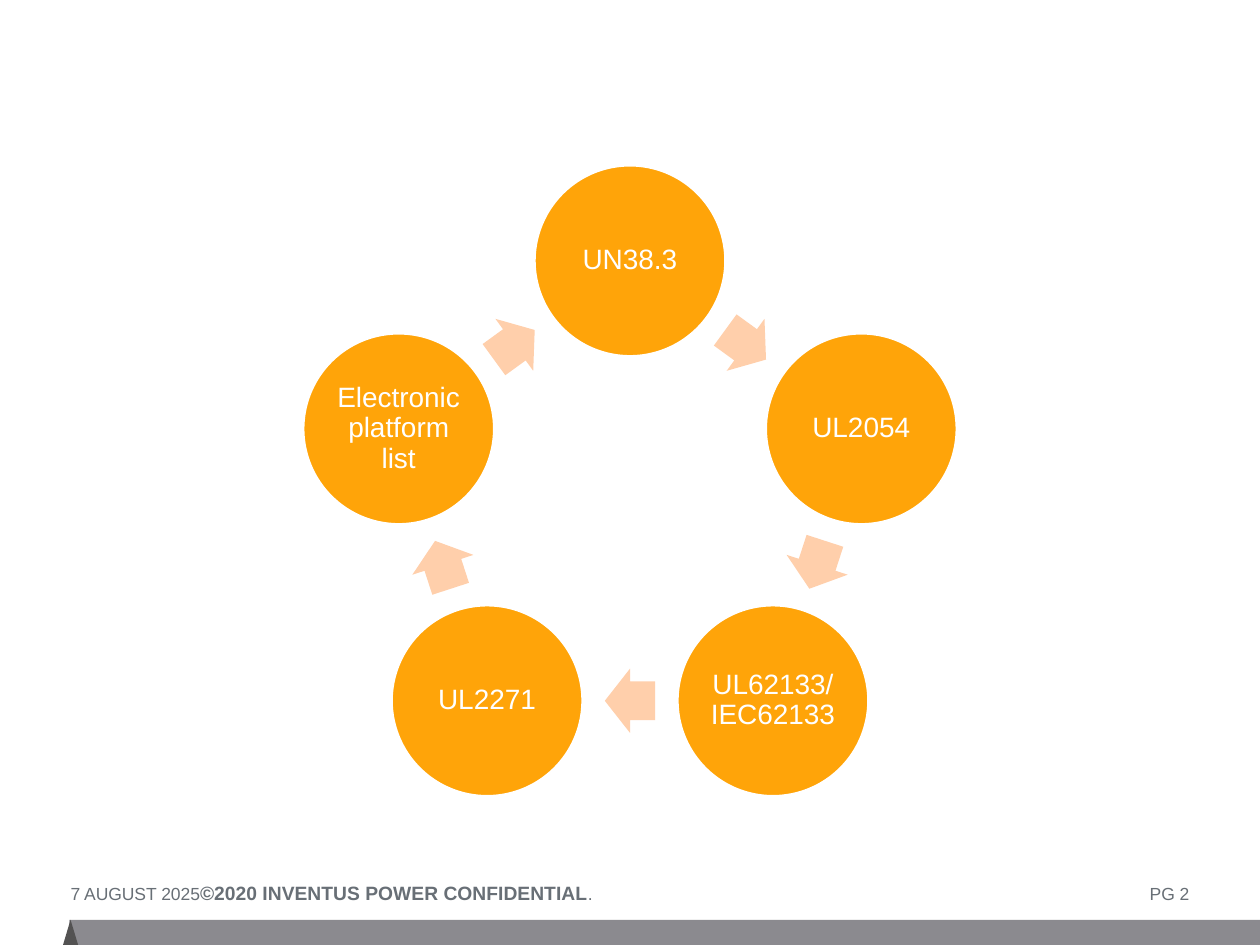
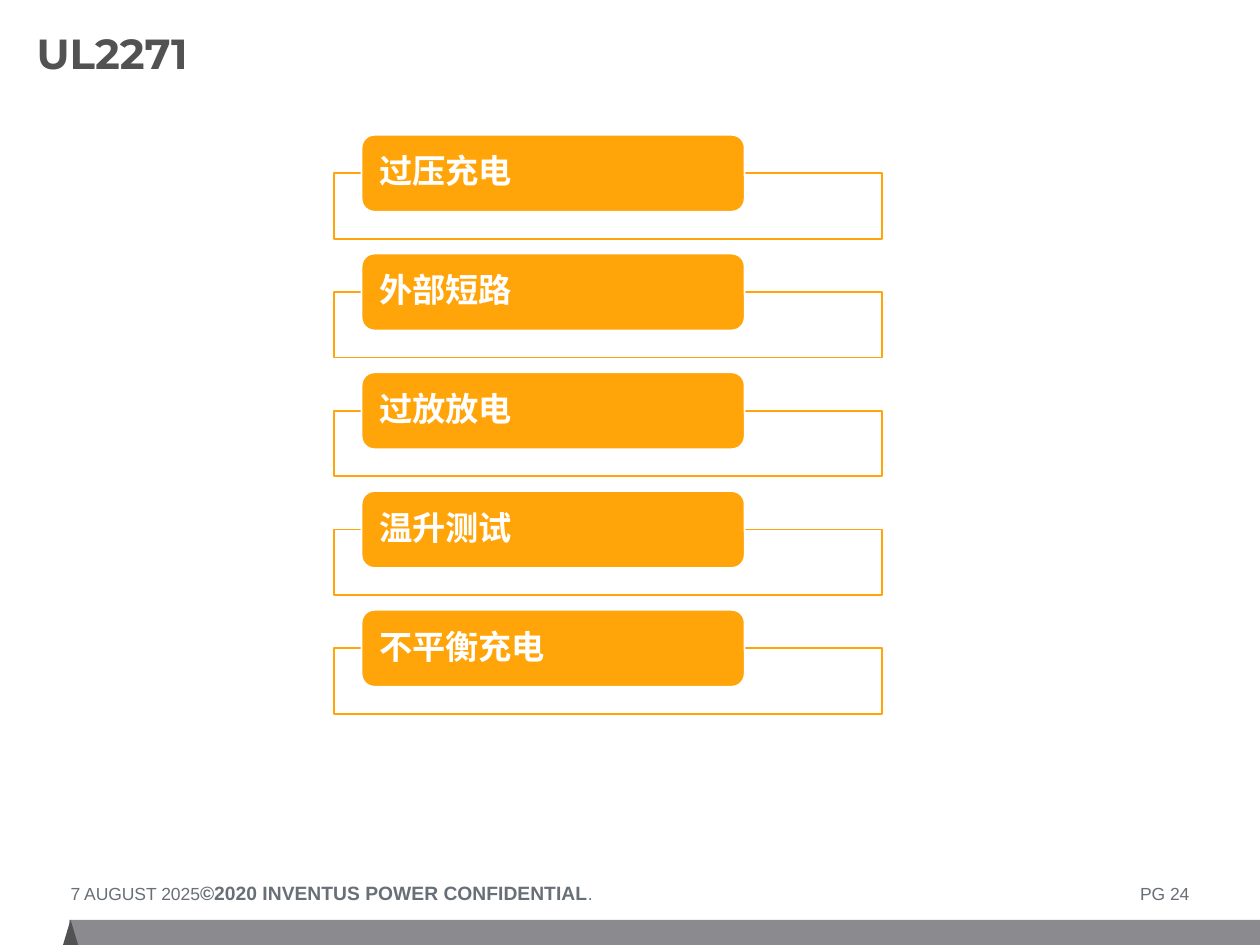
from math import cos, pi, sin

from lxml.etree import SubElement
from pptx import Presentation
from pptx.dml.color import RGBColor
from pptx.enum.shapes import MSO_SHAPE
from pptx.enum.text import MSO_ANCHOR, MSO_AUTO_SIZE, PP_ALIGN
from pptx.oxml.ns import qn
from pptx.util import Inches, Pt

COLORS = {
    "orange": "FFA409",
    "peach": "FFCFAB",
    "white": "FFFFFF",
    "band": "8B8A8F",
    "dark": "535252",
    "footer": "686F76",
}
WIDTH, HEIGHT = Inches(10), Inches(7.5)
COLUMN, ROW = WIDTH / 100, HEIGHT / 75  # square grid cells

TITLE_FONT = {"name": "Montserrat", "size": Pt(24), "bold": True}
FOOTER_FONT = {"name": "Arial", "size": Pt(10), "bold": False}
COPYRIGHT_FONT = {"name": "Arial", "size": Pt(11), "bold": True}
CIRCLE_FONT = {"name": "Arial", "size": Pt(16)}
TEST_FONT = {"name": "Arial", "size": Pt(19), "bold": True}

STANDARDS = ["UN38.3", "UL2054", "UL62133/IEC62133", "UL2271",
             "Electronic platform list"]
TESTS = ["过压充电", "外部短路", "过放放电", "温升测试", "不平衡充电"]


def color(name):
    return RGBColor.from_string(COLORS[name])


def place(left, top, width, height):
    """Turn grid columns and rows into lengths."""
    return (round(left * COLUMN), round(top * ROW),
            round(width * COLUMN), round(height * ROW))


def set_all(target, values):
    for name, value in values.items():
        setattr(target, name, value)


def add_figure(page, kind, area, fill, line=None):
    shape = page.shapes.add_shape(kind, *place(*area))
    shape.shadow.inherit = False
    shape.fill.solid()
    shape.fill.fore_color.rgb = color(fill)
    if line:
        shape.line.color.rgb = color(line)
        shape.line.width = Pt(1)
    else:
        shape.line.fill.background()
    return shape


def prepare_frame(shape, side=0, edge=0, **values):
    """Set margins in grid cells, wrapping and other frame values."""
    frame = shape.text_frame
    set_all(frame, {
        "margin_left": round(side * COLUMN),
        "margin_right": round(side * COLUMN),
        "margin_top": round(edge * ROW),
        "margin_bottom": round(edge * ROW),
        "word_wrap": True,
        **values,
    })
    return frame.paragraphs[0]


def add_span(para, text, font, ink):
    span = para.add_run()
    span.text = text
    set_all(span.font, font)
    span.font.color.rgb = color(ink)


def add_tabs(para, stops):
    tabs = SubElement(para._p.get_or_add_pPr(), qn("a:tabLst"))
    for column, align in stops:
        SubElement(tabs, qn("a:tab"), pos=str(round(column * COLUMN)), algn=align)


def add_footer(page, number):
    add_figure(page, MSO_SHAPE.RECTANGLE, (5.5, 73, 94.5, 2), "band")
    add_figure(page, MSO_SHAPE.ISOSCELES_TRIANGLE, (5, 73, 1.2, 2), "dark")
    box = page.shapes.add_textbox(*place(5.6, 69.9, 88.9, 1.9))
    para = prepare_frame(box, auto_size=MSO_AUTO_SIZE.SHAPE_TO_FIT_TEXT)
    add_tabs(para, [(33.8, "dec"), (88.8, "r")])
    for text, font in [("7 AUGUST 2025\t", FOOTER_FONT),
                       ("©2020 INVENTUS POWER CONFIDENTIAL", COPYRIGHT_FONT),
                       (f".\tPG {number}", FOOTER_FONT)]:
        add_span(para, text, font, "footer")


def add_title(page, text):
    box = page.shapes.add_textbox(*place(2.9, 1.4, 73.8, 6.4))
    para = prepare_frame(box, vertical_anchor=MSO_ANCHOR.MIDDLE)
    para.line_spacing = 0.75
    add_span(para, text, TITLE_FONT, "dark")


def add_label(shape, text, font, align, side, edge):
    para = prepare_frame(shape, side, edge, vertical_anchor=MSO_ANCHOR.MIDDLE)
    set_all(para, {"alignment": align, "line_spacing": 0.9})
    add_span(para, text, font, "white")


def around(radius, angle, width, height):
    """Area centred on the cycle's ring, clockwise from the top."""
    return (50 + radius * sin(angle) - width / 2,
            40 - radius * cos(angle) - height / 2, width, height)


def add_cycle(page, labels, radius=19.3, diameter=15.1):
    step = 2 * pi / len(labels)
    for index, label in enumerate(labels):
        angle = index * step
        circle = add_figure(page, MSO_SHAPE.OVAL,
                            around(radius, angle, diameter, diameter),
                            "orange", "white")
        add_label(circle, label, CIRCLE_FONT, PP_ALIGN.CENTER, 0.2, 0.2)
        arrow = add_figure(page, MSO_SHAPE.RIGHT_ARROW,
                           around(radius * cos(step / 2), angle + step / 2, 4, 5.1),
                           "peach")
        arrow.adjustments[0], arrow.adjustments[1] = 0.6, 0.5
        arrow.rotation = (index + 0.5) * 360 / len(labels)


def add_test_list(page, tests, first=10.7, last=48.4):
    pitch = (last - first) / (len(tests) - 1)
    for index, test in enumerate(tests):
        top = first + index * pitch
        frame = add_figure(page, MSO_SHAPE.RECTANGLE,
                           (26.5, top + 3.05, 43.5, 5.2), "white", "orange")
        paint = frame._element.spPr.find(qn("a:solidFill"))
        SubElement(paint[0], qn("a:alpha"), val="90000")
        tab = add_figure(page, MSO_SHAPE.ROUNDED_RECTANGLE,
                         (28.7, top, 30.4, 6.1), "orange", "white")
        add_label(tab, test, TEST_FONT, PP_ALIGN.LEFT, 1.1, 0)


def add_page(deck, number):
    page = deck.slides.add_slide(deck.slide_layouts[6])
    add_footer(page, number)
    return page


def main():
    deck = Presentation()
    deck.slide_width, deck.slide_height = WIDTH, HEIGHT

    add_cycle(add_page(deck, 2), STANDARDS)

    test_page = add_page(deck, 24)
    add_title(test_page, "UL2271")
    add_test_list(test_page, TESTS)

    deck.save("out.pptx")


if __name__ == "__main__":
    main()
